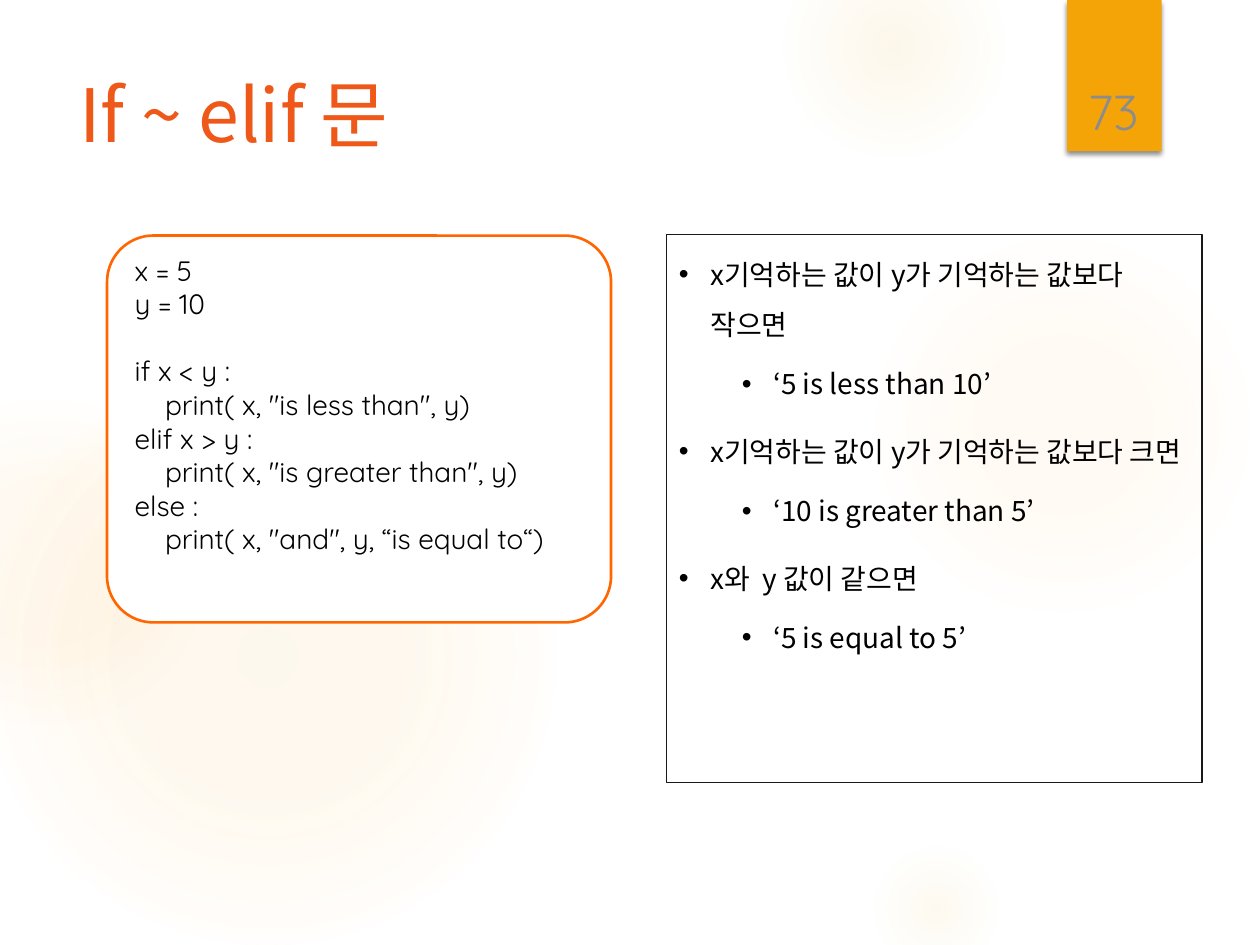
import pptx
import pptx.util
import pptx.dml.color
import pptx.enum.shapes
import pptx.enum.text
import pptx.oxml
from lxml import etree

Inches = pptx.util.Inches
Pt = pptx.util.Pt
RGBColor = pptx.dml.color.RGBColor
SHAPES = pptx.enum.shapes.MSO_SHAPE
ALIGN = pptx.enum.text.PP_ALIGN
ANCHOR = pptx.enum.text.MSO_ANCHOR

ORANGE = RGBColor(0xEE, 0x58, 0x18)
BORDER_ORANGE = RGBColor(0xFF, 0x66, 0x00)
AMBER = RGBColor(0xF5, 0xA4, 0x08)
GLOW = RGBColor(0xFA, 0xC9, 0x6A)
INK = RGBColor(0x18, 0x18, 0x18)
BLACK = RGBColor(0, 0, 0)
GRAY = RGBColor(0x8C, 0x8C, 0x8C)
WHITE = RGBColor(0xFF, 0xFF, 0xFF)
KOREAN_FONT = "Noto Sans CJK KR"
LATIN_FONT = "Quicksand"
NAMESPACE = 'xmlns:a="http://schemas.openxmlformats.org/drawingml/2006/main"'

GLOWS = [
    (6.89, 1.83, 3.08, [(0, 7), (36, 6), (69, 0)]),
    (6.22, -0.5, 1.75, [(0, 14), (36, 7), (73, 0)]),
    (6.89, 6.67, 1.08, [(0, 10), (31, 5), (66, 0)]),
    (-0.17, 2.92, 4.58, [(0, 11), (36, 10), (75, 0)]),
    (-0.92, 3.17, 2.58, [(0, 8), (36, 8), (72, 0)]),
]
TITLE = "If ~ elif 문"
PAGE_NUMBER = "73"
CASES = [
    ("x기억하는 값이 y가 기억하는 값보다 작으면", "‘5 is less than 10’"),
    ("x기억하는 값이 y가 기억하는 값보다 크면", "‘10 is greater than 5’"),
    ("x와  y 값이 같으면", "‘5 is equal to 5’"),
]
ASSIGNMENTS = ["x = 5", "y = 10"]
BRANCHES = [
    "if x < y :",
    '    print( x, "is less than", y)',
    "elif x > y :",
    '    print( x, "is greater than", y)',
    "else :",
    '    print( x, "and", y, “is equal to“)',
]


def add_box(slide, kind, left, top, width, height, fill=None, line=None, line_width=0.75):
    shape = slide.shapes.add_shape(kind, Inches(left), Inches(top), Inches(width), Inches(height))
    shape.shadow.inherit = False
    if fill is None:
        shape.fill.background()
    else:
        shape.fill.solid()
        shape.fill.fore_color.rgb = fill
    if line is None:
        shape.line.fill.background()
    else:
        shape.line.color.rgb = line
        shape.line.width = Pt(line_width)
    return shape


def add_text_box(slide, left, top, width, height, anchor=ANCHOR.TOP):
    frame = slide.shapes.add_textbox(Inches(left), Inches(top), Inches(width), Inches(height)).text_frame
    frame.word_wrap = True
    frame.vertical_anchor = anchor
    return frame


def write(frame, text, size=16, font=KOREAN_FONT, color=BLACK, align=ALIGN.LEFT,
          spacing=1.0, before=0, level=0, bullet_indent=None):
    first = not frame.paragraphs[0].runs
    paragraph = frame.paragraphs[0] if first else frame.add_paragraph()
    paragraph.alignment = align
    paragraph.level = level
    paragraph.line_spacing = spacing
    paragraph.space_before = Pt(0 if first else before)
    properties = paragraph._p.get_or_add_pPr()
    if bullet_indent is not None:
        properties.set("marL", str(Inches(bullet_indent)))
        properties.set("indent", str(Inches(-0.25)))
        properties.append(pptx.oxml.parse_xml(f'<a:buFont {NAMESPACE} typeface="Arial"/>'))
        properties.append(pptx.oxml.parse_xml(f'<a:buChar {NAMESPACE} char="•"/>'))
    run = paragraph.add_run()
    run.text = text
    run.font.size = Pt(size)
    run.font.name = font
    run.font.color.rgb = color
    east_asian = etree.SubElement(run.font._element, pptx.oxml.ns.qn("a:ea"))
    east_asian.set("typeface", KOREAN_FONT)


def add_glow(slide, left, top, diameter, stops):
    shape = add_box(slide, SHAPES.OVAL, left, top, diameter, diameter, fill=GLOW)
    stop_xml = "".join(
        f'<a:gs pos="{position * 1000}"><a:srgbClr val="{GLOW}">'
        f'<a:alpha val="{opacity * 1000}"/></a:srgbClr></a:gs>'
        for position, opacity in stops)
    gradient = pptx.oxml.parse_xml(
        f'<a:gradFill {NAMESPACE}><a:gsLst>{stop_xml}</a:gsLst><a:path path="circle">'
        '<a:fillToRect l="50000" t="50000" r="50000" b="50000"/></a:path></a:gradFill>')
    properties = shape._element.spPr
    properties.replace(properties.find(pptx.oxml.ns.qn("a:solidFill")), gradient)


def add_page_tab(slide):
    tab = add_box(slide, SHAPES.RECTANGLE, 8.47, 0, 0.75, 1.2, fill=AMBER)
    effects = tab._element.spPr.find(pptx.oxml.ns.qn("a:effectLst"))
    effects.append(pptx.oxml.parse_xml(
        f'<a:outerShdw {NAMESPACE} blurRad="{Pt(3)}" dist="{Pt(2)}" dir="5400000">'
        '<a:srgbClr val="000000"><a:alpha val="45000"/></a:srgbClr></a:outerShdw>'))


def main():
    presentation = pptx.Presentation()
    presentation.slide_width = Inches(10)
    presentation.slide_height = Inches(7.5)
    slide = presentation.slides.add_slide(presentation.slide_layouts[6])

    for glow in GLOWS:
        add_glow(slide, *glow)
    add_page_tab(slide)

    title = add_text_box(slide, 0.53, 0.5, 7.72, 1.53)
    write(title, TITLE, size=42, color=ORANGE)

    panel = add_box(slide, SHAPES.RECTANGLE, 5.29, 1.86, 4.25, 4.35, line=INK)
    cases = panel.text_frame
    cases.word_wrap = True
    cases.vertical_anchor = ANCHOR.TOP
    for condition, output in CASES:
        write(cases, condition, spacing=1.5, before=10, bullet_indent=0.25)
        write(cases, output, spacing=1.5, before=5, level=1, bullet_indent=0.75)

    card = add_box(slide, SHAPES.ROUNDED_RECTANGLE, 0.85, 1.87, 4, 3.07,
                   fill=WHITE, line=BORDER_ORANGE, line_width=1.5)
    card.adjustments[0] = 0.12
    code = add_text_box(slide, 0.97, 1.96, 3.89, 2.52)
    for line in ASSIGNMENTS:
        write(code, line, font=LATIN_FONT)
    for index, line in enumerate(BRANCHES):
        write(code, line, font=LATIN_FONT, before=0 if index else 19.2)

    number = add_text_box(slide, 8.49, 0.32, 0.69, 0.84, anchor=ANCHOR.BOTTOM)
    write(number, PAGE_NUMBER, size=28, font=LATIN_FONT, color=GRAY, align=ALIGN.CENTER)

    presentation.save("out.pptx")


if __name__ == "__main__":
    main()
